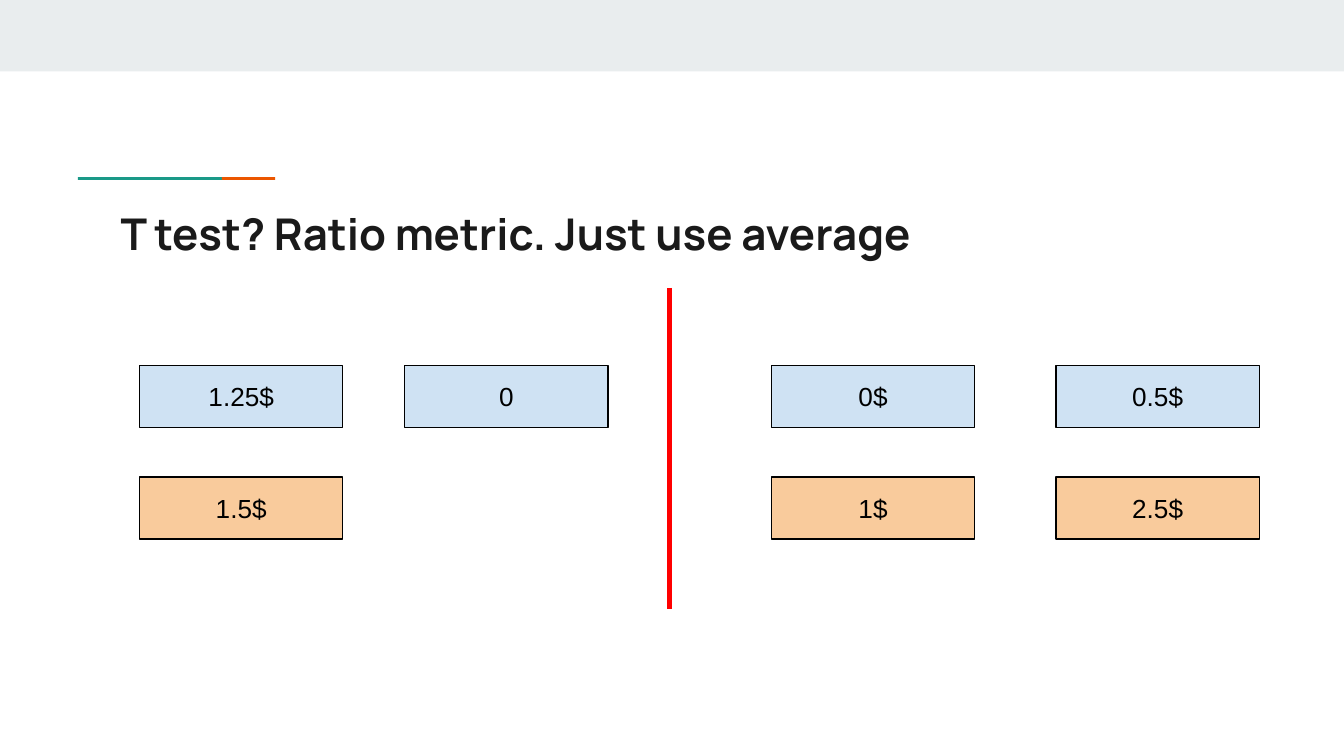
from lxml.etree import SubElement
from pptx import Presentation
from pptx.dml.color import RGBColor
from pptx.enum.shapes import MSO_CONNECTOR as Connector, MSO_SHAPE as Shape
from pptx.enum.text import MSO_ANCHOR as Anchor, PP_ALIGN as Align
from pptx.oxml.ns import qn
from pptx.util import Cm, Pt

COLORS = {
    "band": "E9EDEE", "teal": "1A9988", "orange": "EB5600", "title": "1A1A1A",
    "blue": "CFE2F3", "peach": "F9CB9C", "black": "000000", "red": "FF0000",
}
INSET = 0.25
CARD_WIDTH, CARD_HEIGHT = 3.84, 1.17


def color(name):
    return RGBColor.from_string(COLORS[name])


def add_rect(page, box, fill):
    """Add a plain, borderless rectangle; box is left, top, width, height in cm."""
    rect = page.shapes.add_shape(Shape.RECTANGLE, *map(Cm, box))
    rect.shadow.inherit = False
    rect.fill.solid()
    rect.fill.fore_color.rgb = color(fill)
    rect.line.fill.background()
    return rect


def write(frame, text, font, size, ink, bold=False, align=Align.LEFT, anchor=Anchor.TOP):
    frame.word_wrap = True
    frame.vertical_anchor = anchor
    frame.margin_left = frame.margin_right = Cm(INSET)
    frame.margin_top = frame.margin_bottom = Cm(INSET)
    para = frame.paragraphs[0]
    para.alignment = align
    span = para.add_run()
    span.text = text
    span.font.name = font
    span.font.size = Pt(size)
    span.font.bold = bold
    span.font.color.rgb = color(ink)


def add_accent(page, box):
    """Add the two-colour rule above the title."""
    left, top, width, height = box
    teal_width = 0.73 * width
    add_rect(page, (left, top, teal_width, height), "teal")
    add_rect(page, (left + teal_width, top, width - teal_width, height), "orange")


def add_title(page, box, text):
    title = page.shapes.add_textbox(*map(Cm, box))
    write(title.text_frame, text, "Manrope", 23.4, "title", bold=True)


def add_group(page, box, rows):
    """Add one test group: a blue row over a peach row, spread across the box."""
    left, top, width, height = box
    for row, (fill, values) in enumerate(zip(("blue", "peach"), rows)):
        for column, value in enumerate(values):
            x = left + column * (width - CARD_WIDTH)
            y = top + row * (height - CARD_HEIGHT)
            card = add_rect(page, (x, y, CARD_WIDTH, CARD_HEIGHT), fill)
            card.line.color.rgb = color("black")
            card.line.width = Pt(0.75)
            write(card.text_frame, value, "Arial", 14, "black",
                  align=Align.CENTER, anchor=Anchor.MIDDLE)


def add_divider(page, x, top, bottom):
    line = page.shapes.add_connector(
        Connector.STRAIGHT, Cm(x), Cm(top), Cm(x), Cm(bottom))
    line.line.color.rgb = color("red")
    line.line.width = Pt(3)
    SubElement(line._element.spPr, qn("a:effectLst"))


def main():
    deck = Presentation()
    deck.slide_width, deck.slide_height = Cm(25.4), Cm(14.29)
    page = deck.slides.add_slide(deck.slide_layouts[6])

    add_rect(page, (0, 0, 25.4, 1.35), "band")
    add_accent(page, (1.47, 3.35, 3.73, 0.05))
    add_title(page, (2.03, 3.66, 21.36, 1.5), "T test? Ratio metric. Just use average")
    add_group(page, (2.64, 6.91, 8.85, 3.28), [["1.25$", "0"], ["1.5$"]])
    add_group(page, (14.58, 6.91, 9.22, 3.28), [["0$", "0.5$"], ["1$", "2.5$"]])
    add_divider(page, 12.65, 5.44, 11.51)

    deck.save("out.pptx")


if __name__ == "__main__":
    main()
